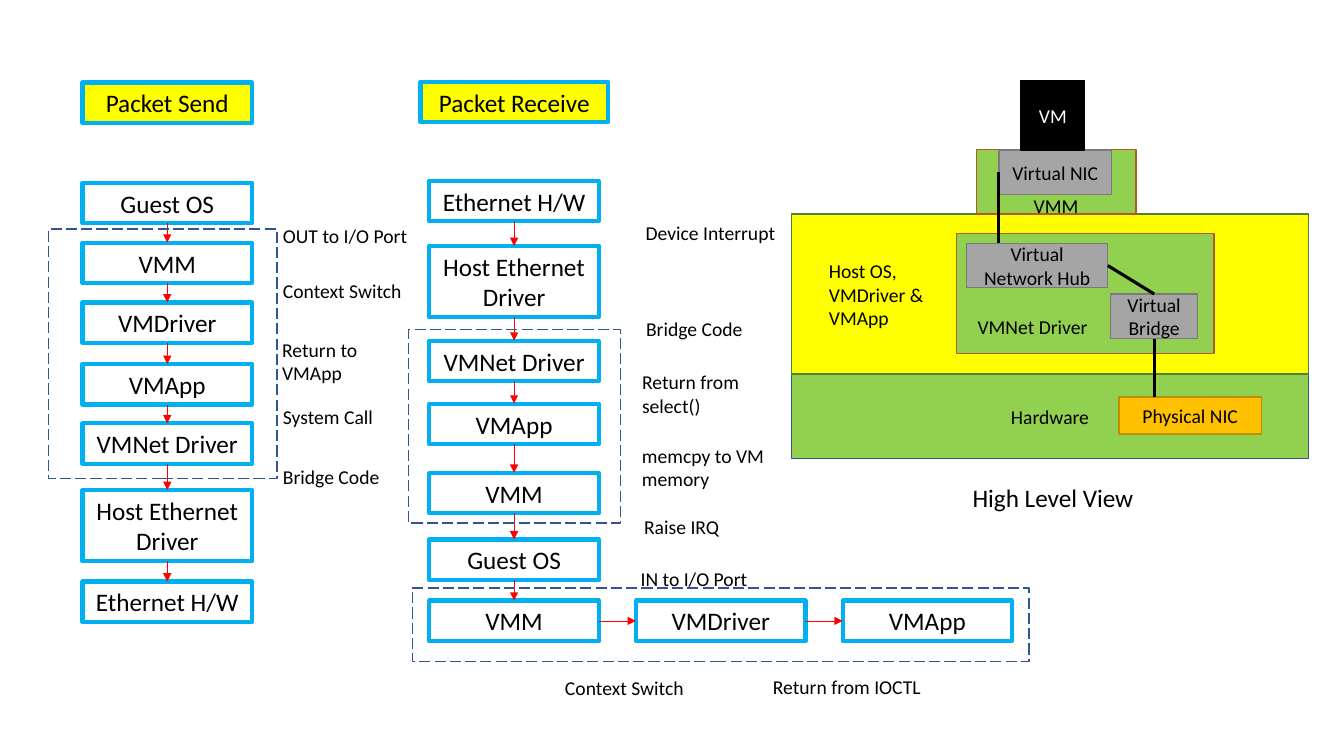
from itertools import pairwise
from lxml import etree
from pptx import Presentation
from pptx.dml.color import RGBColor
from pptx.enum import dml, shapes, text
from pptx.oxml import ns
from pptx.util import Pt

BLACK = RGBColor(0x00, 0x00, 0x00)
WHITE = RGBColor(0xFF, 0xFF, 0xFF)
YELLOW = RGBColor(0xFF, 0xFF, 0x00)
SKY = RGBColor(0x00, 0xB0, 0xF0)
RED = RGBColor(0xFF, 0x00, 0x00)
NAVY = RGBColor(0x32, 0x54, 0x91)
GREEN = RGBColor(0x92, 0xD0, 0x50)
DARK_GREEN = RGBColor(0x53, 0x80, 0x35)
BROWN = RGBColor(0xAF, 0x5C, 0x24)
AMBER = RGBColor(0xFF, 0xC0, 0x00)
DARK_AMBER = RGBColor(0xBD, 0x8E, 0x00)
GREY = RGBColor(0xA5, 0xA5, 0xA5)
DARK_GREY = RGBColor(0x7A, 0x7A, 0x7A)

presentation = Presentation()
presentation.slide_width, presentation.slide_height = Pt(960), Pt(540)
slide = presentation.slides.add_slide(presentation.slide_layouts[6])


def add_box(label, left, top, width, height, fill=None, line=None, weight=1, size=14, color=BLACK):
    bounds = Pt(left), Pt(top), Pt(width), Pt(height)
    if line is None:
        shape = slide.shapes.add_textbox(*bounds)
    else:
        shape = slide.shapes.add_shape(shapes.MSO_SHAPE.RECTANGLE, *bounds)
        shape.shadow.inherit = False
        shape.line.color.rgb = line
        shape.line.width = Pt(weight)
        shape.text_frame.vertical_anchor = text.MSO_ANCHOR.MIDDLE
    if fill is None:
        shape.fill.background()
    else:
        shape.fill.solid()
        shape.fill.fore_color.rgb = fill
    shape.text_frame.word_wrap = True
    shape.text_frame.text = label
    for paragraph in shape.text_frame.paragraphs:
        paragraph.alignment = text.PP_ALIGN.CENTER if line is not None else text.PP_ALIGN.LEFT
        for run in paragraph.runs:
            run.font.name = "Calibri"
            run.font.size = Pt(size)
            run.font.color.rgb = color
    return shape


def add_line(start_x, start_y, end_x, end_y, color=BLACK, weight=2.25, arrow=False):
    connector = slide.shapes.add_connector(
        shapes.MSO_CONNECTOR.STRAIGHT, Pt(start_x), Pt(start_y), Pt(end_x), Pt(end_y))
    connector.line.color.rgb = color
    connector.line.width = Pt(weight)
    if arrow:
        etree.SubElement(connector.line._get_or_add_ln(), ns.qn("a:tailEnd"), type="triangle")
    etree.SubElement(connector._element.spPr, ns.qn("a:effectLst"))


STEP_WIDTH, STEP_HEIGHT, TALL_HEIGHT = 121, 29, 51
SEND_LEFT, RECEIVE_LEFT = 59, 306.7
ROW_TOP, ROW_STEP = 429, 147.6

add_box("Packet Send", SEND_LEFT, 59, STEP_WIDTH, STEP_HEIGHT, YELLOW, SKY, 3, 18)
add_box("Packet Receive", 300.4, 58.3, 134, STEP_HEIGHT, YELLOW, SKY, 3, 18)

send_steps = [
    ("Guest OS", 130.5), ("VMM", 173.3), ("VMDriver", 216), ("VMApp", 260),
    ("VMNet Driver", 302.4), ("Host Ethernet Driver", 350), ("Ethernet H/W", 415.4),
]
receive_steps = [
    ("Ethernet H/W", 129), ("Host Ethernet Driver", 175.7), ("VMNet Driver", 243.3),
    ("VMApp", 288.3), ("VMM", 337.7), ("Guest OS", 385.4), ("VMM", ROW_TOP),
]
for left, steps in [(SEND_LEFT, send_steps), (RECEIVE_LEFT, receive_steps)]:
    spans = []
    for label, top in steps:
        height = TALL_HEIGHT if label == "Host Ethernet Driver" else STEP_HEIGHT
        add_box(label, left, top, STEP_WIDTH, height, None, SKY, 3, 18)
        spans.append((top, top + height))
    middle = left + STEP_WIDTH / 2
    for (_, bottom), (next_top, _) in pairwise(spans):
        add_line(middle, bottom, middle, next_top, RED, 0.5, True)

row_middle = ROW_TOP + STEP_HEIGHT / 2
for column, label in enumerate(["VMDriver", "VMApp"], start=1):
    left = RECEIVE_LEFT + column * ROW_STEP
    add_box(label, left, ROW_TOP, STEP_WIDTH, STEP_HEIGHT, None, SKY, 3, 18)
    add_line(left - ROW_STEP + STEP_WIDTH, row_middle, left, row_middle, RED, 0.5, True)

transitions = [
    ("OUT to I/O Port", 195, 156.5, 107, 24),
    ("Context Switch", 195, 195.5, 103, 24),
    ("Return to VMApp", 194.4, 237.6, 95, 41),
    ("System Call", 195, 285.5, 89, 24),
    ("Bridge Code", 195, 328.5, 89, 24),
    ("Device Interrupt", 454, 154, 112, 24),
    ("Bridge Code", 454.4, 222.6, 89, 24),
    ("Return from select()", 451.5, 261, 121, 41),
    ("memcpy to VM \nmemory", 451.5, 313.5, 105, 41),
    ("Raise IRQ", 453, 364.5, 89, 24),
    ("IN to I/O Port", 450.5, 401.5, 105, 24),
    ("Context Switch", 396.5, 479.5, 105, 24),
    ("Return from IOCTL", 545, 478.5, 125, 24),
]
for label, left, top, width, height in transitions:
    add_box(label, left, top, width, height)

for bounds in [(34.5, 163.5, 163.5, 178.5), (291.6, 235.5, 151.5, 138), (294.5, 420, 440.6, 52.6)]:
    frame = add_box("", *bounds, line=NAVY)
    frame.line.dash_style = dml.MSO_LINE.LONG_DASH

add_box("Hardware", 565.2, 267.3, 369.6, 60, GREEN, NAVY)
add_box("Physical NIC", 799.2, 283.5, 102, 26.6, AMBER, DARK_AMBER)
add_box("", 565.2, 153, 369.6, 114.3, YELLOW, DARK_GREEN)
add_box("", 683.3, 167, 184, 85.7, GREEN, BROWN)
add_box("Host OS, VMDriver & VMApp", 585, 181.4, 96.5, 58)
add_box("Virtual Bridge", 793.4, 210, 62, 31.8, GREY, DARK_GREY)
add_box("Virtual Network Hub", 690.5, 173.8, 100.8, 31.8, GREY, DARK_GREY)
add_box("VMNet Driver", 691.2, 221.2, 102, 24)
add_box("", 697.7, 106.6, 113.8, 46.2, GREEN, BROWN)
add_box("Virtual NIC", 713.5, 107.3, 80.6, 31.8, GREY, DARK_GREY)
add_box("VM", 729.4, 57.6, 45.4, 49.7, BLACK, BLACK, color=WHITE)
monitor = add_box("VMM", 703.4, 135.2, 102, 24)
monitor.text_frame.paragraphs[0].alignment = text.PP_ALIGN.CENTER
add_line(824.4, 241.8, 824.4, 283.5)
add_line(713.5, 123.2, 713.5, 173.8)
add_line(791.3, 189.7, 824.4, 210)
add_box("High Level View", 687.6, 340.6, 141, 29, size=18)

presentation.save("out.pptx")
